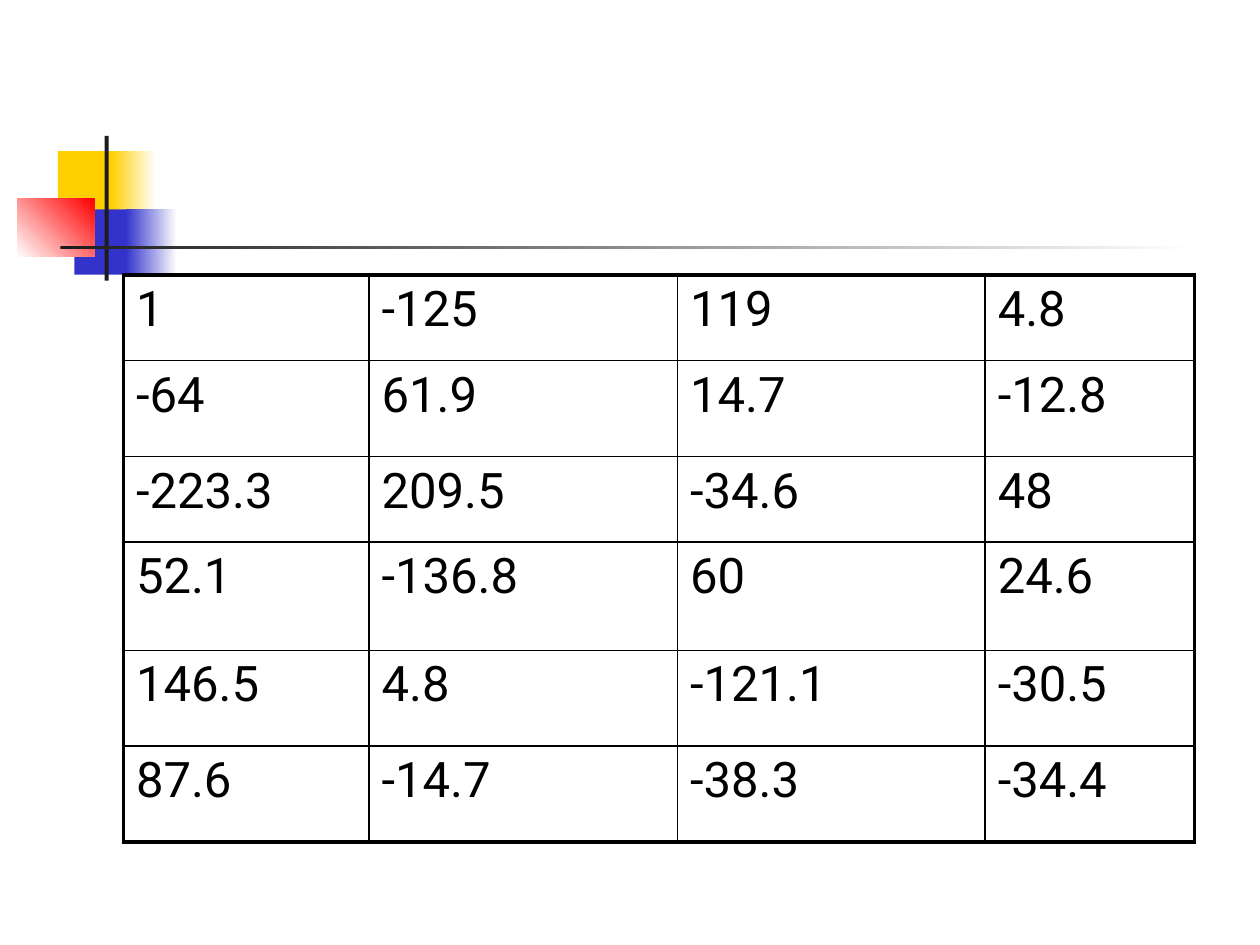
from lxml import etree
from pptx import Presentation
from pptx.dml.color import RGBColor
from pptx.enum import shapes
from pptx.oxml import ns
from pptx.util import Cm, Pt

# Content
ROWS = [
    ("1", "-125", "119", "4.8"),
    ("-64", "61.9", "14.7", "-12.8"),
    ("-223.3", "209.5", "-34.6", "48"),
    ("52.1", "-136.8", "60", "24.6"),
    ("146.5", "4.8", "-121.1", "-30.5"),
    ("87.6", "-14.7", "-38.3", "-34.4"),
]

# Layout, in centimetres
COLUMN_WIDTHS = (4.95, 6.22, 6.2, 4.22)
ROW_HEIGHTS = (1.73, 1.93, 1.73, 2.18, 1.93, 1.93)
TABLE_LEFT, TABLE_TOP = 2.49, 5.54

# Style
FONT, FONT_SIZE = "Roboto", 28
INK = "000000"
INNER_LINE, OUTER_LINE = 1, 2.25
YELLOW, BLUE, RED, DARK, WHITE = "FFCF01", "3333CC", "FF0000", "1C1C1C", "FFFFFF"

# Ornament: left, top, width, height, colours (two make a gradient), angle
ORNAMENT = [
    (1.17, 3.05, 1.22, 1.32, (YELLOW,), 0),
    (2.24, 3.05, 0.91, 1.32, (YELLOW, WHITE), 0),
    (1.5, 4.22, 1.17, 1.32, (BLUE,), 0),
    (2.54, 4.22, 1.02, 1.32, (BLUE, WHITE), 0),
    (0.35, 4.01, 1.55, 1.17, (WHITE, RED), 45),
    (2.11, 2.74, 0.08, 2.92, (DARK,), 0),
    (1.22, 4.95, 22.86, 0.08, (DARK, WHITE), 0),
]


def color(code):
    return RGBColor.from_string(code)


def add_block(slide, left, top, width, height, colors, angle):
    shape = slide.shapes.add_shape(
        shapes.MSO_SHAPE.RECTANGLE, Cm(left), Cm(top), Cm(width), Cm(height))
    shape.shadow.inherit = False
    shape.line.fill.background()
    if len(colors) == 1:
        shape.fill.solid()
        shape.fill.fore_color.rgb = color(colors[0])
    else:
        shape.fill.gradient()
        shape.fill.gradient_angle = angle
        for stop, code in zip(shape.fill.gradient_stops, colors):
            stop.color.rgb = color(code)


def set_borders(cell, widths):
    """Draw the cell's borders; widths maps L, R, T, B to points."""
    properties = cell._tc.get_or_add_tcPr()
    for index, (side, width) in enumerate(widths.items()):
        line = etree.Element(ns.qn(f"a:ln{side}"), w=str(Pt(width)))
        fill = etree.SubElement(line, ns.qn("a:solidFill"))
        etree.SubElement(fill, ns.qn("a:srgbClr"), val=INK)
        properties.insert(index, line)


def add_number_table(slide):
    row_count, column_count = len(ROWS), len(COLUMN_WIDTHS)
    table = slide.shapes.add_table(
        row_count, column_count, Cm(TABLE_LEFT), Cm(TABLE_TOP),
        Cm(sum(COLUMN_WIDTHS)), Cm(sum(ROW_HEIGHTS))).table
    table.first_row = table.horz_banding = False
    for column, width in zip(table.columns, COLUMN_WIDTHS):
        column.width = Cm(width)
    for row, height in zip(table.rows, ROW_HEIGHTS):
        row.height = Cm(height)

    for r, values in enumerate(ROWS):
        for c, value in enumerate(values):
            cell = table.cell(r, c)
            cell.text = value
            cell.fill.background()
            font = cell.text_frame.paragraphs[0].font
            font.name, font.size = FONT, Pt(FONT_SIZE)
            font.color.rgb = color(INK)
            on_edge = {"L": c == 0, "R": c == column_count - 1,
                       "T": r == 0, "B": r == row_count - 1}
            set_borders(cell, {side: OUTER_LINE if edge else INNER_LINE
                               for side, edge in on_edge.items()})


def main():
    presentation = Presentation()
    presentation.slide_width, presentation.slide_height = Cm(25.4), Cm(19.05)
    slide = presentation.slides.add_slide(presentation.slide_layouts[6])  # blank
    for block in ORNAMENT:
        add_block(slide, *block)
    add_number_table(slide)
    presentation.save("out.pptx")


if __name__ == "__main__":
    main()
